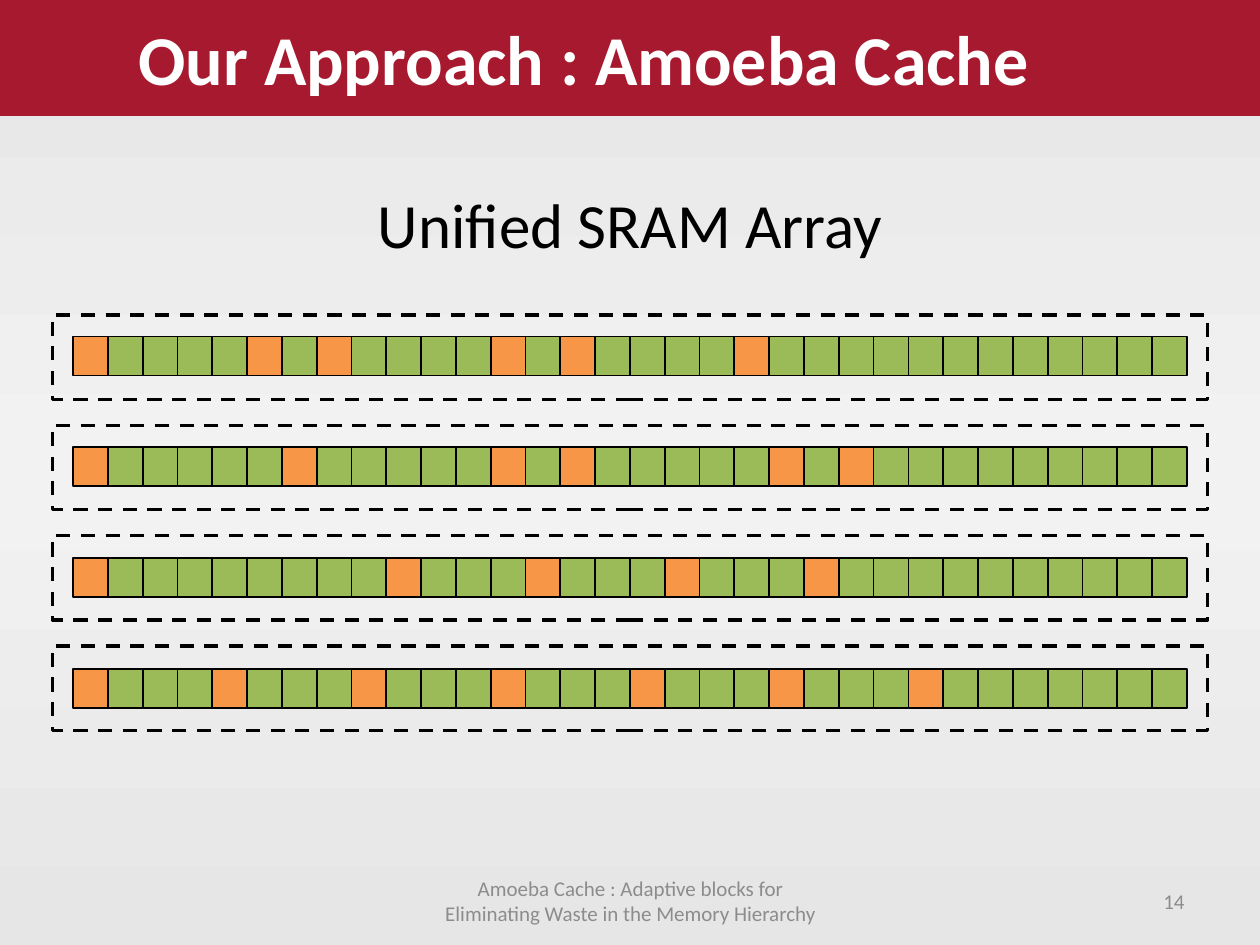
from copy import deepcopy
from pptx import Presentation
from pptx.dml.color import RGBColor
from pptx.enum.dml import MSO_LINE
from pptx.enum.shapes import MSO_SHAPE
from pptx.enum.text import MSO_ANCHOR, MSO_AUTO_SIZE, PP_ALIGN
from pptx.util import Inches, Pt


def color(target, value):
    target.rgb = RGBColor.from_string(value)


def write(sp, text, size, value, align, bold=False, wrap=True):
    tf = sp.text_frame
    tf.text = text
    tf.word_wrap = wrap
    tf.auto_size = MSO_AUTO_SIZE.NONE
    tf.vertical_anchor = MSO_ANCHOR.MIDDLE
    p = tf.paragraphs[0]
    p.alignment = align
    r = p.runs[0]
    r.font.name = "Calibri"
    r.font.size = Pt(size)
    r.font.bold = bold
    color(r.font.color, value)


prs = Presentation()
prs.slide_width = W = Inches(10)
prs.slide_height = H = Inches(7.5)
s = prs.slides.add_slide(prs.slide_layouts[5])

fill = s.background.fill
fill.gradient()
fill.gradient_angle = 90
stops = fill.gradient_stops
for stop, value in zip(stops, ["E6E6E6", "F2F2F2"]):
    color(stop.color, value)
gs_list = s.background._cSld.bg.bgPr.find(".//{*}gsLst")
gs_list.append(deepcopy(gs_list[0]))
for gs, pos in zip(gs_list, [0, 50000, 100000]):
    gs.set("pos", str(pos))

title = s.shapes.title
title.left, title.top, title.width, title.height = 0, 0, W, Inches(0.92)
title.fill.solid()
color(title.fill.fore_color, "A6192E")
write(title, "Our Approach : Amoeba Cache", 40, "FFFFFF", PP_ALIGN.LEFT, bold=True)
title.text_frame.margin_left = Inches(1.1)

labels = [
    ("Amoeba Cache : Adaptive blocks for Eliminating Waste in the Memory Hierarchy",
     3.42, 6.95, 3.17, 0.4, 12, "8C8C8C", PP_ALIGN.CENTER, True),
    ("14", 7.17, 6.95, 2.33, 0.4, 12, "8C8C8C", PP_ALIGN.RIGHT, True),
    ("Unified SRAM Array", 2.88, 1.42, 4.24, 0.71, 36, "000000", PP_ALIGN.CENTER, False),
]
for text, x, y, w, h, size, value, align, wrap in labels:
    sp = s.shapes.add_textbox(Inches(x), Inches(y), Inches(w), Inches(h))
    write(sp, text, size, value, align, wrap=wrap)

columns = 32
left, top = Inches(0.58), Inches(2.67)
cell_w, cell_h = (W - 2 * left) // columns, Inches(0.31)
row_step = Inches(0.88)
tag_columns = [
    {0, 5, 7, 12, 14, 19},
    {0, 6, 12, 14, 20, 22},
    {0, 9, 13, 17, 21},
    {0, 4, 8, 12, 16, 20, 24},
]
for row, tags in enumerate(tag_columns):
    y = top + row * row_step
    for col in range(columns):
        sp = s.shapes.add_shape(MSO_SHAPE.RECTANGLE, left + col * cell_w, y, cell_w, cell_h)
        sp.shadow.inherit = False
        sp.fill.solid()
        color(sp.fill.fore_color, "F79646" if col in tags else "9BBB59")
        color(sp.line.color, "000000")
        sp.line.width = Pt(1)

frame_left = W // 24
for row in range(len(tag_columns)):
    sp = s.shapes.add_shape(MSO_SHAPE.RECTANGLE, frame_left, H // 3 + row * Inches(0.876),
                            W - 2 * frame_left, Inches(0.67))
    sp.shadow.inherit = False
    sp.fill.background()
    color(sp.line.color, "000000")
    sp.line.width = Pt(2)
    sp.line.dash_style = MSO_LINE.DASH

prs.save("out.pptx")
